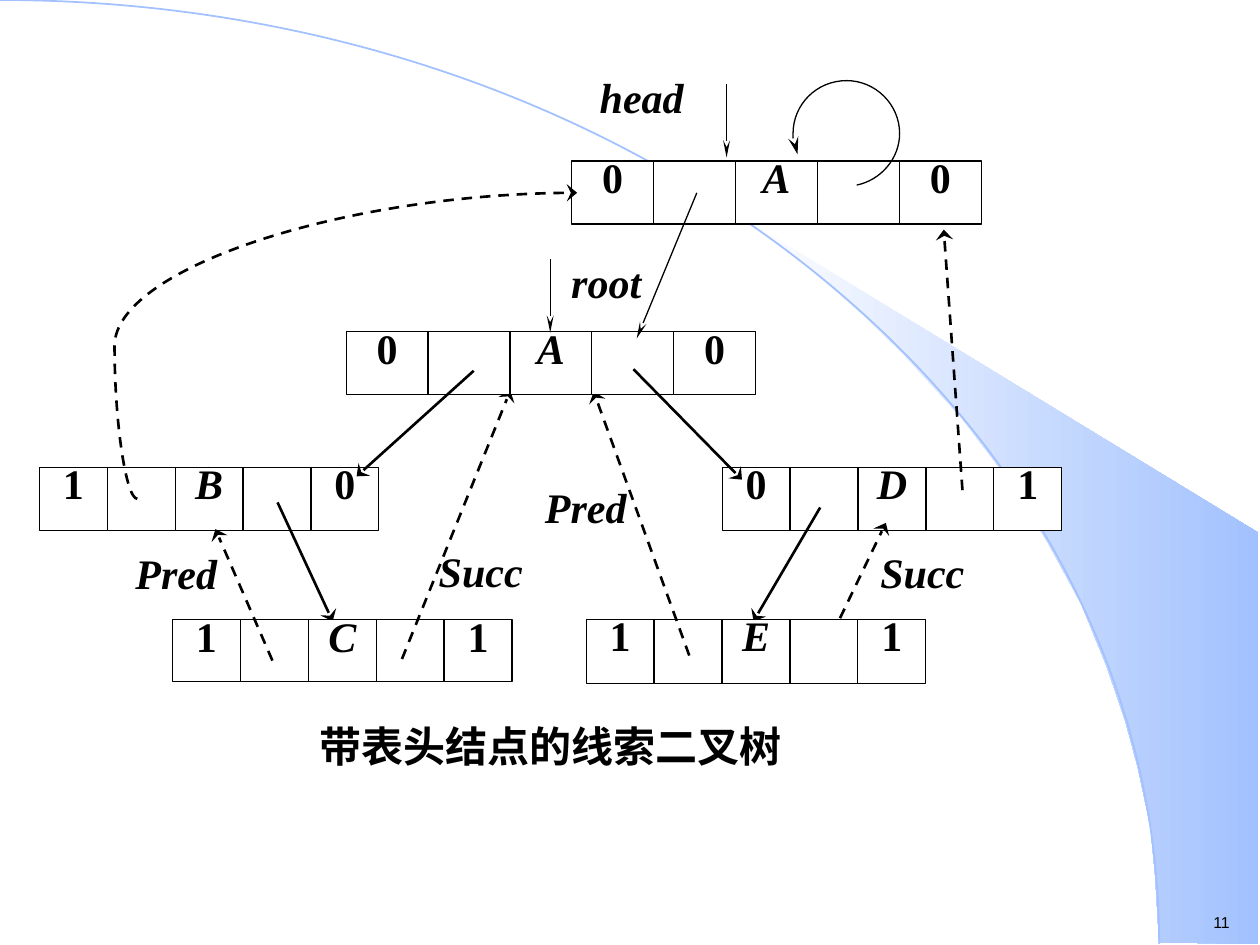
"""Build the slide showing a threaded binary tree with a header node."""
import lxml.etree
import pptx
import pptx.dml.color
import pptx.enum.dml
import pptx.enum.shapes
import pptx.enum.text
import pptx.oxml.ns
import pptx.util

Pt = pptx.util.Pt
qn = pptx.oxml.ns.qn
ALIGN = pptx.enum.text.PP_ALIGN
CONNECTOR = pptx.enum.shapes.MSO_CONNECTOR

COLORS = {"ink": "000000", "paper": "FFFFFF", "sky": "A2C1FE"}
SERIF = "Times New Roman"

SWOOSH = [
    (662.4, 538.6), (719.3, 539.3), (719.3, 304.6), (424.1, 124.6), (449.3, 143.3),
    (470.2, 159.8), (493.2, 180), (515.5, 201.6), (548.6, 237.6), (578.2, 276.5),
    (599, 310.3), (617.8, 344.9), (632.2, 380.2), (643, 411.8), (650.2, 438.5),
    (657.4, 472.3), (660.2, 501.1),
]
HORIZON = [(0, 0), (365.8, 0), (662.4, 241.2), (662.4, 539.3)]
SELF_LOOP = [
    (489.6, 105.8), (503.3, 103), (514.1, 90.7), (514.1, 76.3), (514.1, 59.8),
    (500.4, 46.1), (483.8, 46.1), (466.6, 46.1), (453.2, 59.8), (453.2, 76.3),
    (453.2, 80.6), (454.3, 84.2), (455.8, 88.2),
]
HEAD_THREAD = (78.5, 285.1, 329.8, 110.2)
HEAD_THREAD_BEND = -5200
CAPTION = ("带表头结点的线索二叉树", 133.2, 411.8, 362.9, 47.5)
PAGE_NUMBER = ("11", 686.2, 518.2, 25.2, 18)

LINE_STYLES = {
    "thin": {"width": 0.75, "head": ("sm", "lg")},
    "child": {"width": 1.5, "head": ("lg", "med")},
    "thread": {"width": 1.5, "head": ("lg", "med"), "dashed": True},
    "loop": {"width": 0.75, "head": ("med", "lg")},
    "horizon": {"width": 1, "ink": "sky"},
    "cell": {"width": 0.75},
}

LAYERS = [
    {
        "nodes": [("0", "D", "1", 412.7, 267.1, 38.8, 36), ("1", "B", "0", 22.5, 267.1, 38.8, 36)],
        "labels": [("Succ", 501.9, 321.5, 50.4, 28.1, 0.64, ALIGN.CENTER),
                   ("Pred", 307.4, 284.4, 54.7, 24.5, 0.64, ALIGN.CENTER)],
        "links": [("child", 158.6, 287.1, 190.1, 355), ("child", 468.7, 290, 430.6, 355),
                  ("thread", 470.9, 372.2, 506.2, 298.8)],
    },
    {
        "nodes": [("1", "E", "1", 335, 354, 38.8, 36.7)],
        "labels": [("Succ", 247, 319.3, 55.4, 29.5, 0.72, ALIGN.CENTER),
                   ("Pred", 74.8, 322.2, 51.8, 26.6, 0.64, ALIGN.CENTER)],
        "links": [("thread", 393.9, 374.6, 339.3, 223.9)],
    },
    {
        "nodes": [("1", "C", "1", 98.6, 354.2, 38.8, 35.3)],
        "labels": [("root", 326.4, 154.1, 44.6, 23.8, 0.72, ALIGN.JUSTIFY)],
        "links": [("thread", 229.7, 376.6, 291.6, 223.2), ("thread", 155.7, 377.5, 123.1, 302.4)],
    },
    {
        "nodes": [("0", "A", "0", 197.8, 189.6, 46.8, 36)],
        "labels": [],
        "links": [("thin", 314.4, 148.3, 314.4, 190.1), ("child", 270.7, 211.9, 203.8, 272.2),
                  ("child", 362, 211, 424, 274.1)],
    },
    {
        "nodes": [("0", "A", "0", 326.7, 92, 46.8, 36)],
        "labels": [("head", 342.7, 48.2, 63.4, 23.8, 0.72, ALIGN.JUSTIFY)],
        "links": [("thin", 415.2, 48.2, 415.2, 90), ("thin", 398.2, 110.2, 363.8, 193.5),
                  ("thread", 550, 280.1, 539.3, 131.2)],
    },
]


def color(name):
    return pptx.dml.color.RGBColor.from_string(COLORS[name])


def stroke(shape, width, ink="ink", dashed=False, head=None):
    shape.line.color.rgb = color(ink)
    shape.line.width = Pt(width)
    if dashed:
        shape.line.dash_style = pptx.enum.dml.MSO_LINE.DASH
    if head:
        outline = shape.element.spPr.find(qn("a:ln"))
        lxml.etree.SubElement(outline, qn("a:tailEnd"), type="stealth", w=head[0], len=head[1])


def write(shape, text, size, font, align=None, spacing=None, bold=False, italic=False):
    frame = shape.text_frame
    frame.text = text
    frame.vertical_anchor = pptx.enum.text.MSO_ANCHOR.TOP
    paragraph = frame.paragraphs[0]
    paragraph.alignment = align
    paragraph.line_spacing = spacing
    style = paragraph.runs[0].font
    style.size, style.name, style.bold, style.italic = Pt(size), font, bold, italic
    style.color.rgb = color("ink")


def add_box(slide, left, top, width, height, text="", spacing=None, align=ALIGN.CENTER,
            outlined=False):
    box = slide.shapes.add_shape(pptx.enum.shapes.MSO_SHAPE.RECTANGLE,
                                 Pt(left), Pt(top), Pt(width), Pt(height))
    box.shadow.inherit = False
    box.fill.solid()
    box.fill.fore_color.rgb = color("paper")
    if outlined:
        stroke(box, **LINE_STYLES["cell"])
    else:
        box.line.fill.background()
    frame = box.text_frame
    frame.word_wrap = True
    frame.margin_left = frame.margin_right = frame.margin_top = frame.margin_bottom = 0
    if text:
        write(box, text, 24, SERIF, align, spacing, bold=True,
              italic=text.isascii() and text.isalpha())


def add_node(slide, left_tag, name, right_tag, left, top, width, height):
    for column, text in enumerate((left_tag, "", name, "", right_tag)):
        add_box(slide, left + column * width, top, width, height, text, 0.8, outlined=True)


def add_link(slide, style, ends, kind=CONNECTOR.STRAIGHT):
    link = slide.shapes.add_connector(kind, *(Pt(end) for end in ends))
    stroke(link, **LINE_STYLES[style])
    lxml.etree.SubElement(link.element.spPr, qn("a:effectLst"))
    return link


def add_outline(slide, points, closed=False):
    start, *rest = [(Pt(x), Pt(y)) for x, y in points]
    builder = slide.shapes.build_freeform(*start)
    builder.add_line_segments(rest, close=closed)
    outline = builder.convert_to_shape()
    outline.shadow.inherit = False
    return outline


def add_curve(slide, points, style):
    curve = add_outline(slide, points)
    segments = list(curve.element.spPr.iter(qn("a:lnTo")))
    track = segments[0].getparent()
    for first in range(0, len(segments), 3):
        bezier = lxml.etree.SubElement(track, qn("a:cubicBezTo"))
        for segment in segments[first:first + 3]:
            bezier.append(segment[0])
            track.remove(segment)
    curve.fill.background()
    stroke(curve, **LINE_STYLES[style])


def add_background(slide):
    swoosh = add_outline(slide, SWOOSH, closed=True)
    swoosh.fill.gradient()
    swoosh.fill.gradient_angle = 0
    for stop, name, position in zip(swoosh.fill.gradient_stops, ("paper", "sky"), (0, 1)):
        stop.color.rgb = color(name)
        stop.position = position
    swoosh.line.fill.background()
    add_curve(slide, HORIZON, "horizon")
    text, *place = PAGE_NUMBER
    number = slide.shapes.add_textbox(*(Pt(length) for length in place))
    number.text_frame.word_wrap = False
    write(number, text, 9, "Arial")


def main():
    deck = pptx.Presentation()
    deck.slide_width, deck.slide_height = Pt(720), Pt(540)
    slide = deck.slides.add_slide(deck.slide_layouts[6])
    add_background(slide)
    caption, *place = CAPTION
    add_box(slide, *place, caption)
    for layer in LAYERS:
        for node in layer["nodes"]:
            add_node(slide, *node)
        for text, left, top, width, height, spacing, align in layer["labels"]:
            add_box(slide, left, top, width, height, text, spacing, align)
        for style, *ends in layer["links"]:
            add_link(slide, style, ends)
    add_curve(slide, SELF_LOOP, "loop")
    thread = add_link(slide, "thread", HEAD_THREAD, CONNECTOR.CURVE)
    bends = thread.element.spPr.find(".//" + qn("a:avLst"))
    lxml.etree.SubElement(bends, qn("a:gd"), name="adj1", fmla=f"val {HEAD_THREAD_BEND}")
    deck.save("out.pptx")


if __name__ == "__main__":
    main()
